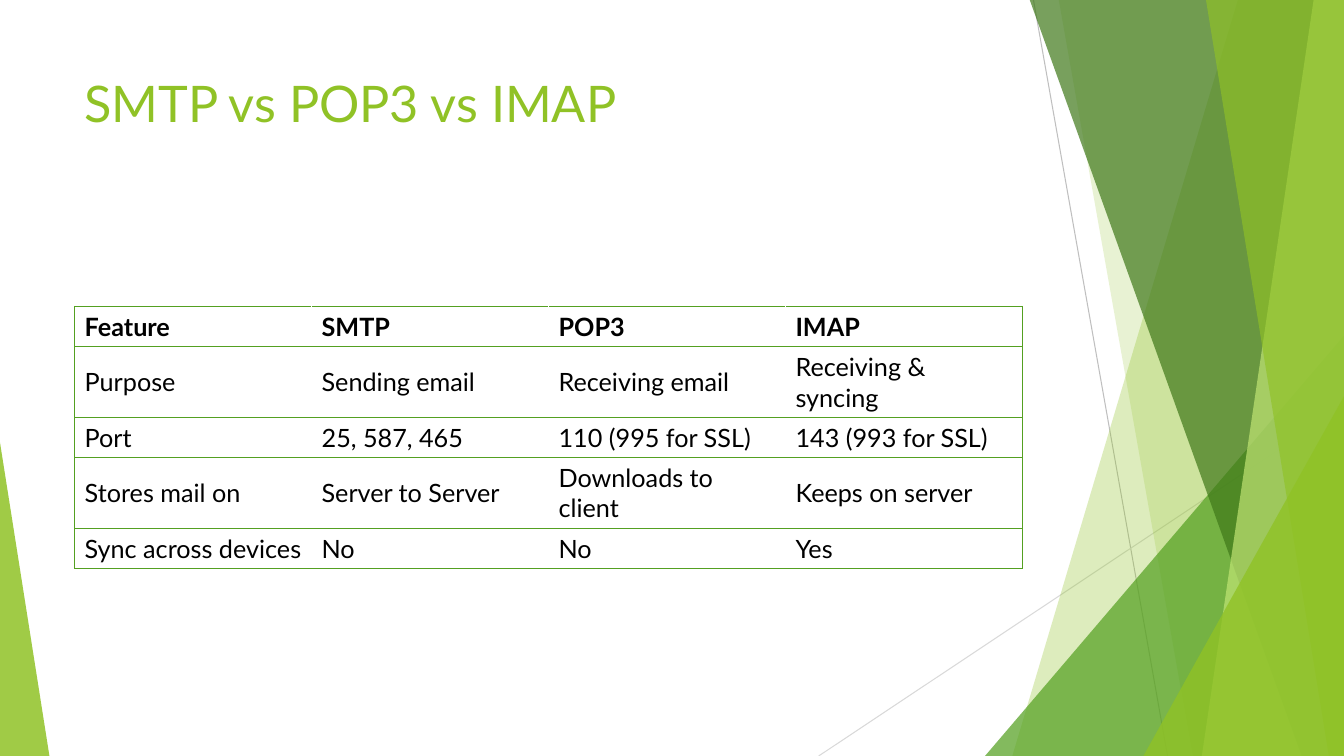
from lxml import etree
from pptx import Presentation
from pptx import util as u
from pptx.dml.color import RGBColor
from pptx.enum import shapes, text
from pptx.oxml.ns import qn

FONT = "Lato"
COLORS = {
    "lime": "90C226",
    "green": "54A021",
    "forest": "3F7819",
    "pale": "C0E474",
    "white": "FFFFFF",
    "black": "000000",
    "gray": "BFBFBF",
    "light_gray": "D9D9D9",
}
WIDTH, HEIGHT = 13.33, 7.5
LEFT, CONTENT_WIDTH = 0.74, 9.4
ROW_HEIGHTS = [0.4, 0.7, 0.4, 0.7, 0.4]
ROWS = [
    ["Feature", "SMTP", "POP3", "IMAP"],
    ["Purpose", "Sending email", "Receiving email", "Receiving & syncing"],
    ["Port", "25, 587, 465", "110 (995 for SSL)", "143 (993 for SSL)"],
    ["Stores mail on", "Server to Server", "Downloads to client", "Keeps on server"],
    ["Sync across devices", "No", "No", "Yes"],
]


def rgb(name):
    return RGBColor.from_string(COLORS[name])


def style_font(p, size, color, bold=False):
    p.font.name = FONT
    p.font.size = u.Pt(size)
    p.font.bold = bold
    p.font.color.rgb = rgb(color)


def paint(sp, color, opacity):
    """Give a shape a translucent fill, no line and no shadow."""
    sp.shadow.inherit = False
    sp.line.fill.background()
    sp.fill.solid()
    sp.fill.fore_color.rgb = rgb(color)
    clr = sp._element.spPr.find(qn("a:solidFill"))[0]
    etree.SubElement(clr, qn("a:alpha"), val=str(opacity * 1000))


def add_line(s, x1, y1, x2, y2, color):
    line = s.shapes.add_connector(
        shapes.MSO_CONNECTOR.STRAIGHT, *map(u.Inches, (x1, y1, x2, y2)))
    line.line.color.rgb = rgb(color)
    line.line.width = u.Pt(0.75)
    etree.SubElement(line._element.spPr, qn("a:effectLst"))


def add_band(s, top_x, bottom_x, color, opacity):
    """Full-height band from a slanted left edge to the slide's right edge."""
    top = u.Inches(-0.01)
    right, bottom = u.Inches(WIDTH), u.Inches(HEIGHT)
    fb = s.shapes.build_freeform(u.Inches(top_x), top)
    fb.add_line_segments(
        [(right, top), (right, bottom), (u.Inches(bottom_x), bottom)], close=True)
    paint(fb.convert_to_shape(), color, opacity)


def add_corner(s, x, y, width, apex, color, opacity):
    """Triangle standing on the slide's bottom edge."""
    sp = s.shapes.add_shape(
        shapes.MSO_SHAPE.ISOSCELES_TRIANGLE,
        *map(u.Inches, (x, y, width, HEIGHT - y)))
    sp.adjustments[0] = apex
    paint(sp, color, opacity)


def add_title(s, title):
    box = s.shapes.add_textbox(
        *map(u.Inches, (LEFT, 0.67, CONTENT_WIDTH, 1.44)))
    tf = box.text_frame
    tf.word_wrap = True
    tf.vertical_anchor = text.MSO_ANCHOR.TOP
    p = tf.paragraphs[0]
    p.text = title
    style_font(p, 36, "lime")


def add_border(cell, side):
    ln = etree.SubElement(
        cell._tc.get_or_add_tcPr(), qn(f"a:ln{side}"), w=str(u.Pt(1)))
    fill = etree.SubElement(ln, qn("a:solidFill"))
    etree.SubElement(fill, qn("a:srgbClr"), val=COLORS["green"])


def add_comparison(s):
    frame = s.shapes.add_table(
        len(ROWS), len(ROWS[0]),
        *map(u.Inches, (LEFT, 3.04, CONTENT_WIDTH, sum(ROW_HEIGHTS))))
    table = frame.table
    table.first_row = table.horz_banding = False
    last = len(ROWS[0]) - 1
    for i, row in enumerate(ROWS):
        table.rows[i].height = u.Inches(ROW_HEIGHTS[i])
        for j, value in enumerate(row):
            cell = table.cell(i, j)
            cell.vertical_anchor = text.MSO_ANCHOR.MIDDLE
            # Rules between rows, outer frame at the sides
            sides = ("L" if j == 0 else "") + ("R" if j == last else "") + "TB"
            for side in sides:
                add_border(cell, side)
            cell.fill.solid()
            cell.fill.fore_color.rgb = rgb("white")
            p = cell.text_frame.paragraphs[0]
            p.text = value
            style_font(p, 18, "black", bold=i == 0)


def main():
    prs = Presentation()
    prs.slide_width, prs.slide_height = u.Inches(WIDTH), u.Inches(HEIGHT)
    s = prs.slides.add_slide(prs.slide_layouts[6])

    # Facet decoration, back to front
    add_line(s, 10.25, 0, 11.58, HEIGHT, "gray")
    add_line(s, WIDTH, 4.03, 8.12, HEIGHT, "light_gray")
    add_band(s, 12.28, 10.04, "lime", 30)
    add_band(s, 10.5, 11.83, "lime", 20)
    add_corner(s, 9.77, 3.33, 3.56, 1, "green", 72)
    add_band(s, 10.21, 12.91, "forest", 70)
    add_band(s, 13.03, 11.92, "pale", 70)
    add_band(s, 11.96, 13.18, "lime", 65)
    add_corner(s, 11.34, 3.93, 1.99, 1, "lime", 80)
    add_corner(s, 0, 4.39, 0.49, 0, "lime", 85)

    # Content
    add_title(s, "SMTP vs POP3 vs IMAP")
    add_comparison(s)
    prs.save("out.pptx")


if __name__ == "__main__":
    main()
